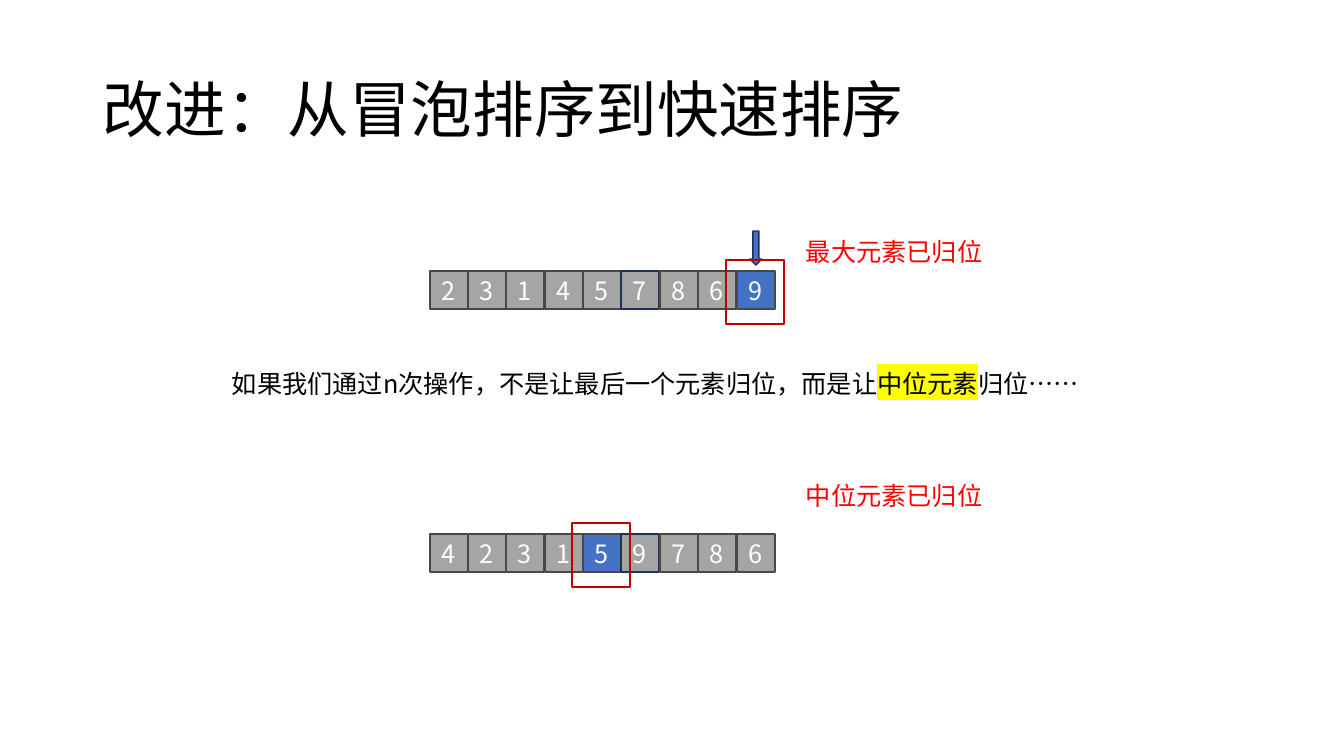
from lxml.etree import SubElement
from pptx import Presentation
from pptx.dml.color import RGBColor
from pptx.enum.shapes import MSO_SHAPE
from pptx.enum.text import MSO_ANCHOR, MSO_AUTO_SIZE, PP_ALIGN
from pptx.oxml.ns import qn
from pptx.util import Pt

PX = 914400 / 100.8
FONT = "Noto Sans CJK SC"
COLORS = {
    "black": "000000", "white": "FFFFFF", "red": "FF0000", "dark_red": "C00000",
    "gray": "A5A5A5", "dark_gray": "484848", "blue": "4472C4", "navy": "1E3256",
    "yellow": "FFFF00",
}
CELL_LEFT, CELL_SIZE, LAST_OFFSET = 430, 38, 307
NAVY_EDGE = 5


def add_outlined(page, preset, bounds, fill, line):
    shape = page.shapes.add_shape(preset, *(round(n * PX) for n in bounds))
    shape.shadow.inherit = False
    if fill:
        shape.fill.solid()
        shape.fill.fore_color.rgb = RGBColor.from_string(COLORS[fill])
    else:
        shape.fill.background()
    shape.line.color.rgb = RGBColor.from_string(COLORS[line])
    shape.line.width = Pt(1)
    return shape


def add_span(para, text, size, color, highlight=None):
    span = para.add_run()
    span.text = text
    formats = {"size": Pt(size), "name": FONT}
    for name, value in formats.items():
        setattr(span.font, name, value)
    span.font.color.rgb = RGBColor.from_string(COLORS[color])
    properties = span.font._element
    SubElement(properties, qn("a:ea"), typeface=FONT)
    if highlight:
        marker = SubElement(properties, qn("a:highlight"))
        SubElement(marker, qn("a:srgbClr"), val=COLORS[highlight])
        properties.find(qn("a:solidFill")).addnext(marker)


deck = Presentation()
deck.slide_width, deck.slide_height = round(1344 * PX), round(756 * PX)
page = deck.slides.add_slide(deck.slide_layouts[6])

title = page.shapes.add_textbox(*(round(n * PX) for n in (93, 40, 1159, 146)))
title.text_frame.word_wrap = True
title.text_frame.vertical_anchor = MSO_ANCHOR.MIDDLE
para = title.text_frame.paragraphs[0]
para.line_spacing = 0.9
add_span(para, "改进：从冒泡排序到快速排序", 44, "black")

# Each array: digits, top edge, index of the element already in place
for digits, top, placed in (("231457869", 271, 8), ("423159786", 534, 4)):
    for index, digit in enumerate(digits):
        left = CELL_LEFT + index * LAST_OFFSET // (len(digits) - 1)
        cell = add_outlined(
            page, MSO_SHAPE.RECTANGLE, (left, top, CELL_SIZE, CELL_SIZE),
            "blue" if index == placed else "gray",
            "navy" if index == NAVY_EDGE else "dark_gray")
        cell.text_frame.vertical_anchor = MSO_ANCHOR.MIDDLE
        para = cell.text_frame.paragraphs[0]
        para.alignment = PP_ALIGN.CENTER
        add_span(para, digit, 18, "white")

    placed_left = CELL_LEFT + placed * LAST_OFFSET // (len(digits) - 1)
    if placed == len(digits) - 1:
        add_outlined(page, MSO_SHAPE.DOWN_ARROW, (placed_left + 13, top - 40, 12, 34),
                     "blue", "navy")
    add_outlined(page, MSO_SHAPE.RECTANGLE, (placed_left - 11, top - 11, 58, 64),
                 None, "dark_red")

notes = (
    ((796, 231, 201, 40), [("最大元素已归位", "red", None)]),
    ((222, 363, 890, 40), [
        ("如果我们通过n次操作，不是让最后一个元素归位，而是让", "black", None),
        ("中位元素", "black", "yellow"),
        ("归位……", "black", None)]),
    ((796, 475, 199, 40), [("中位元素已归位", "red", None)]),
)
for bounds, spans in notes:
    box = page.shapes.add_textbox(*(round(n * PX) for n in bounds))
    box.text_frame.word_wrap = False
    box.text_frame.auto_size = MSO_AUTO_SIZE.SHAPE_TO_FIT_TEXT
    for text, color, highlight in spans:
        add_span(box.text_frame.paragraphs[0], text, 18, color, highlight)

deck.save("out.pptx")
